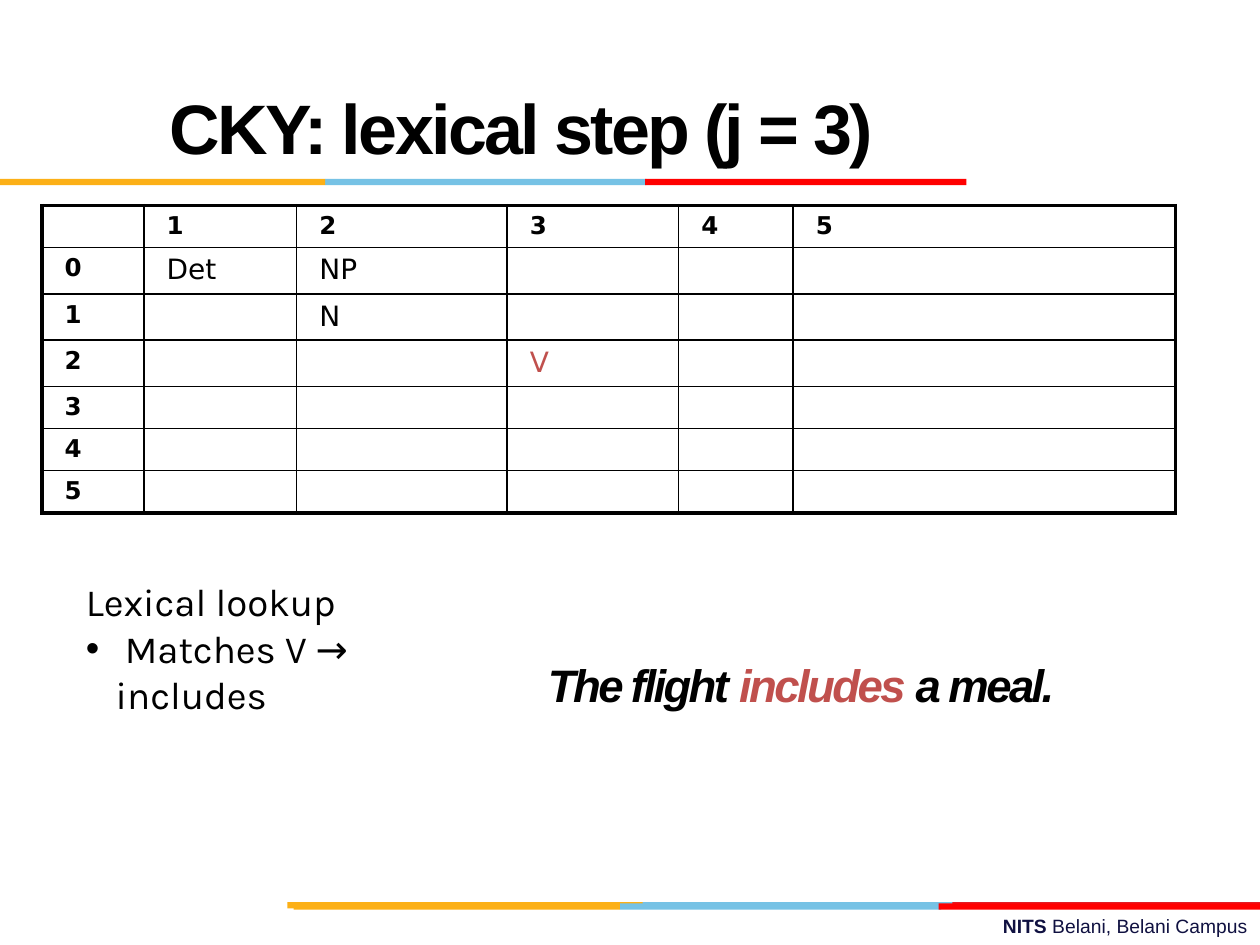
from dataclasses import dataclass

import lxml.etree
import pptx
import pptx.dml.color
import pptx.enum.shapes
import pptx.enum.text
import pptx.oxml.ns
import pptx.util

Pt = pptx.util.Pt
qn = pptx.oxml.ns.qn

COLORS = {
    "black": "000000", "white": "FFFFFF", "accent": "C0504D", "navy": "101141",
    "orange": "FCB017", "blue": "76C2E5", "red": "FF0000", "crimson": "E31C24",
}
BAR_HEIGHT = 3.6
OUTER_BORDER, INNER_BORDER = 2.25, 1
COLUMN_WIDTHS = [58.3, 87.3, 120.2, 98, 65.5, 218.5]
ROW_HEIGHTS = [24, 26.3, 26.3, 26.3, 24, 24, 24.3]
CHART_ENTRIES = {(1, 1): ("Det", "black"), (1, 2): ("NP", "black"),
                 (2, 2): ("N", "black"), (3, 3): ("V", "accent")}


@dataclass
class Bar:
    left: float
    top: float
    width: float
    color: str


@dataclass
class Style:
    font: str
    size: float
    color: str = "black"
    bold: bool = False
    italic: bool = False
    spacing: float = 0


BARS = [
    Bar(364.3, 515.5, 183.6, "blue"),
    Bar(544.3, 515.5, 175.7, "crimson"),
    Bar(164.2, 515.5, 203, "orange"),
    Bar(354.2, 516.2, 183.6, "blue"),
    Bar(167.8, 516.2, 186.4, "orange"),
    Bar(536.4, 516.2, 183.6, "red"),
    Bar(185.8, 102.2, 183.6, "blue"),
    Bar(0, 102.2, 185.8, "orange"),
    Bar(368.6, 102.2, 183.6, "red"),
]


def rgb(name: str) -> pptx.dml.color.RGBColor:
    return pptx.dml.color.RGBColor.from_string(COLORS[name])


def add_run(para, text: str, style: Style) -> None:
    span = para.add_run()
    span.text = text
    font = span.font
    font.name, font.size = style.font, Pt(style.size)
    font.bold, font.italic = style.bold, style.italic
    font.color.rgb = rgb(style.color)
    if style.spacing:
        span._r.get_or_add_rPr().set("spc", str(int(style.spacing * 100)))


def add_bar(page, bar: Bar) -> None:
    shape = page.shapes.add_shape(
        pptx.enum.shapes.MSO_SHAPE.RECTANGLE,
        Pt(bar.left), Pt(bar.top), Pt(bar.width), Pt(BAR_HEIGHT))
    shape.shadow.inherit = False
    shape.fill.solid()
    shape.fill.fore_color.rgb = rgb(bar.color)
    shape.line.fill.background()


def add_text_box(page, left: float, top: float, width: float, height: float,
                 anchor=pptx.enum.text.MSO_ANCHOR.TOP):
    box = page.shapes.add_textbox(Pt(left), Pt(top), Pt(width), Pt(height))
    box.text_frame.word_wrap = True
    box.text_frame.vertical_anchor = anchor
    return box.text_frame


def add_bullet(para, indent: float) -> None:
    properties = para._p.get_or_add_pPr()
    properties.set("marL", str(Pt(indent)))
    properties.set("indent", str(-Pt(indent)))
    font = lxml.etree.SubElement(properties, qn("a:buFont"))
    font.set("typeface", "Arial")
    lxml.etree.SubElement(properties, qn("a:buChar")).set("char", "•")


def set_borders(cell, widths: dict[str, float]) -> None:
    """Put the border lines ahead of the cell fill, as the schema demands."""
    properties = cell._tc.get_or_add_tcPr()
    for position, (tag, width) in enumerate(widths.items()):
        line = lxml.etree.Element(qn(tag))
        line.set("w", str(Pt(width)))
        fill = lxml.etree.SubElement(line, qn("a:solidFill"))
        lxml.etree.SubElement(fill, qn("a:srgbClr")).set("val", COLORS["black"])
        properties.insert(position, line)


def fill_cell(cell, row: int, column: int) -> None:
    cell.margin_left = cell.margin_right = Pt(13)
    cell.margin_top = cell.margin_bottom = Pt(3.6)
    cell.fill.solid()
    cell.fill.fore_color.rgb = rgb("white")
    para = cell.text_frame.paragraphs[0]
    if (row, column) in CHART_ENTRIES:
        text, color = CHART_ENTRIES[row, column]
        add_run(para, text, Style("DejaVu Sans", 16, color))
    elif row == 0 and column > 0:
        add_run(para, str(column), Style("DejaVu Sans", 14, bold=True))
    elif column == 0 and row > 0:
        add_run(para, str(row - 1), Style("DejaVu Sans", 14, bold=True))
    else:
        # Small empty text keeps the row from growing.
        lxml.etree.SubElement(para._p, qn("a:endParaRPr")).set("sz", "1400")


def add_parse_table(page) -> None:
    row_count, column_count = len(ROW_HEIGHTS), len(COLUMN_WIDTHS)
    table = page.shapes.add_table(
        row_count, column_count, Pt(24), Pt(117.5),
        Pt(sum(COLUMN_WIDTHS)), Pt(sum(ROW_HEIGHTS))).table
    table.first_row = table.horz_banding = False
    for column, width in zip(table.columns, COLUMN_WIDTHS):
        column.width = Pt(width)
    for row, height in zip(table.rows, ROW_HEIGHTS):
        row.height = Pt(height)
    for row in range(row_count):
        for column in range(column_count):
            cell = table.cell(row, column)
            fill_cell(cell, row, column)
            on_edge = {"a:lnL": column == 0, "a:lnR": column == column_count - 1,
                       "a:lnT": row == 0, "a:lnB": row == row_count - 1}
            set_borders(cell, {tag: OUTER_BORDER if edge else INNER_BORDER
                               for tag, edge in on_edge.items()})


def main() -> None:
    deck = pptx.Presentation()
    deck.slide_width, deck.slide_height = Pt(720), Pt(540)
    page = deck.slides.add_slide(deck.slide_layouts[6])
    middle = pptx.enum.text.MSO_ANCHOR.MIDDLE

    footer = add_text_box(page, 257.8, 519, 462.2, 21).paragraphs[0]
    footer.alignment = pptx.enum.text.PP_ALIGN.RIGHT
    add_run(footer, "NITS ", Style("Arial", 11, "navy", bold=True))
    add_run(footer, "Belani, Belani Campus", Style("Arial", 11, "navy"))

    for bar in BARS:
        add_bar(page, bar)
    add_parse_table(page)

    sentence = add_text_box(page, 306, 348, 498, 90, middle).paragraphs[0]
    sentence.line_spacing = 0.9
    for text, color in [("The flight ", "black"), ("includes", "accent"),
                        (" a meal.", "black")]:
        add_run(sentence, text, Style("Arial", 26, color, True, True, -1.5))

    title = add_text_box(page, 90, 24, 630, 96, middle).paragraphs[0]
    add_run(title, "CKY: lexical step (j = 3)",
            Style("Arial", 40, bold=True, spacing=-1.5))

    lookup = add_text_box(page, 42, 327, 248.5, 119)
    add_run(lookup.paragraphs[0], "Lexical lookup", Style("Karla", 22))
    match = lookup.add_paragraph()
    add_bullet(match, 17)
    add_run(match, " Matches V → includes", Style("Karla", 22))

    deck.save("out.pptx")


if __name__ == "__main__":
    main()
